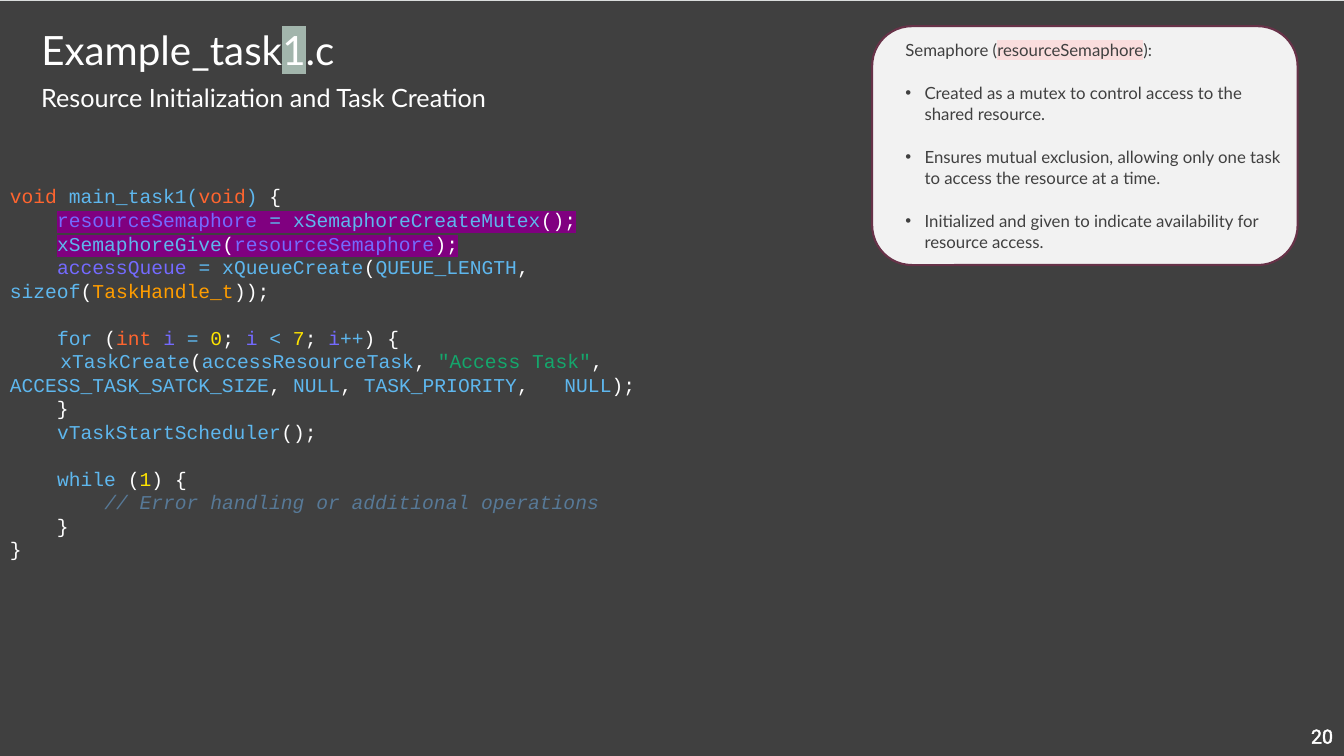
from dataclasses import dataclass
from typing import NamedTuple

from lxml.etree import SubElement
from pptx import Presentation
from pptx.dml.color import RGBColor
from pptx.enum.shapes import MSO_SHAPE
from pptx.enum.text import MSO_ANCHOR, MSO_AUTO_SIZE, PP_ALIGN
from pptx.oxml.ns import qn
from pptx.util import Inches, Pt


@dataclass(frozen=True)
class Theme:
    edge: str = "F1F4F3"
    dark: str = "404040"
    white: str = "FFFFFF"
    card: str = "F2F2F2"
    line: str = "673248"
    sage: str = "A2B5AC"
    pink: str = "FADDDD"
    plum: str = "800080"
    type: str = "FF652F"
    call: str = "5EB7EE"
    name: str = "746AFF"
    kind: str = "FF9D00"
    digit: str = "FFE400"
    quote: str = "14A76C"
    note: str = "577997"
    sans: str = "Lato"
    mono: str = "Courier New"
    round: str = "Roboto"
    head: float = 28.8
    sub: float = 18
    code: float = 14
    body: float = 12
    pitch: float = 16.8


T = Theme()


class Bit(NamedTuple):
    text: str
    color: str = T.white
    mark: str = ""
    slant: bool = False


class Box(NamedTuple):
    left: float
    top: float
    width: float
    height: float


@dataclass
class Row:
    bits: list[Bit]
    gap: bool = False


# Code tokens by colour
def call(text: str, mark: str = "") -> Bit:
    return Bit(text, T.call, mark)


def name(text: str, mark: str = "") -> Bit:
    return Bit(text, T.name, mark)


def kind(text: str) -> Bit:
    return Bit(text, T.type)


def digit(text: str) -> Bit:
    return Bit(text, T.digit)


TAB = Bit("    ")
CODE = [
    Row([kind("void "), call("main_task1("), kind("void"), call(")"), Bit(" {")]),
    Row([TAB, name("resourceSemaphore", T.plum), Bit(" ", mark=T.plum),
         call("=", T.plum), Bit(" ", mark=T.plum),
         call("xSemaphoreCreateMutex", T.plum), Bit("();", mark=T.plum)]),
    Row([TAB, call("xSemaphoreGive", T.plum), Bit("(", mark=T.plum),
         name("resourceSemaphore", T.plum), Bit(");", mark=T.plum)]),
    Row([TAB, name("accessQueue "), call("= xQueueCreate"), Bit("("),
         call("QUEUE_LENGTH"), Bit(", "), call("sizeof"), Bit("("),
         Bit("TaskHandle_t", T.kind), Bit("));")]),
    Row([TAB, call("for"), Bit(" ("), kind("int "), name("i "), call("= "),
         digit("0"), Bit("; "), name("i "), call("< "), digit("7"), Bit("; "),
         name("i"), call("++"), Bit(") {")], gap=True),
    Row([Bit("   \t"), call("xTaskCreate"), Bit("("), call("accessResourceTask"),
         Bit(", "), Bit('"Access Task"', T.quote), Bit(", \t"),
         call("ACCESS_TASK_SATCK_SIZE"), Bit(", "), call("NULL"), Bit(", "),
         call("TASK_PRIORITY"), Bit(", \t"), call("NULL"), Bit(");")]),
    Row([TAB, Bit("}")]),
    Row([TAB, call("vTaskStartScheduler"), Bit("();")]),
    Row([TAB, call("while"), Bit(" ("), digit("1"), Bit(") {")], gap=True),
    Row([TAB, TAB, Bit("// Error handling or additional operations", T.note,
                       slant=True)]),
    Row([TAB, Bit("}")]),
    Row([Bit("}")]),
]
LEAD = [Bit("Semaphore (", T.dark), Bit("resourceSemaphore", T.dark, T.pink),
        Bit("):", T.dark)]
POINTS = [
    "Created as a mutex to control access to the shared resource.",
    "Ensures mutual exclusion, allowing only one task to access the resource at a time.",
    "Initialized and given to indicate availability for resource access.",
]


def place(shape, box: Box) -> None:
    shape.left, shape.top, shape.width, shape.height = map(Inches, box)


def write(para, bits: list[Bit], size: float, font: str) -> None:
    for bit in bits:
        run = para.add_run()
        run.text = bit.text
        run.font.size, run.font.name = Pt(size), font
        run.font.color.rgb = RGBColor.from_string(bit.color)
        if bit.slant:
            run.font.italic = True
        if bit.mark:
            props = run.font._element
            mark = SubElement(props, qn("a:highlight"))
            SubElement(mark, qn("a:srgbClr"), val=bit.mark)
            props.find(qn("a:solidFill")).addnext(mark)


def panel(slide, form: MSO_SHAPE, box: Box, fill: str, line: str = "") -> None:
    shape = slide.shapes.add_shape(form, *map(Inches, box))
    shape.shadow.inherit = False
    shape.fill.solid()
    shape.fill.fore_color.rgb = RGBColor.from_string(fill)
    if line:
        shape.line.color.rgb = RGBColor.from_string(line)
        shape.line.width = Pt(1.5)
    else:
        shape.line.fill.background()


def label(slide, box: Box):
    frame = slide.shapes.add_textbox(*map(Inches, box)).text_frame
    frame.word_wrap = True
    return frame


def bullet(para, shown: bool) -> None:
    props = para._p.get_or_add_pPr()
    inset = Inches(0.19) if shown else 0
    props.set("marL", str(inset))
    props.set("indent", str(-inset))
    if shown:
        SubElement(props, qn("a:buFont"), typeface="Arial")
        SubElement(props, qn("a:buChar"), char="•")
    else:
        SubElement(props, qn("a:buNone"))


def main() -> None:
    deck = Presentation()
    deck.slide_width, deck.slide_height = Inches(13.33), Inches(7.5)
    slide = deck.slides.add_slide(deck.slide_layouts[1])
    title, body = slide.shapes.title, slide.placeholders[1]

    # Backdrop
    back = slide.background.fill
    back.solid()
    back.fore_color.rgb = RGBColor.from_string(T.edge)
    panel(slide, MSO_SHAPE.RECTANGLE, Box(0, 0.01, 13.33, 7.5), T.dark)

    # Page number
    frame = label(slide, Box(12.75, 7.1, 0.57, 0.4))
    frame.vertical_anchor = MSO_ANCHOR.MIDDLE
    para = frame.paragraphs[0]
    para.alignment = PP_ALIGN.RIGHT
    write(para, [Bit("20")], T.code, T.round)
    props = para.runs[0].font._element
    line = SubElement(props, qn("a:ln"), w=str(Pt(0.75)))
    SubElement(SubElement(line, qn("a:solidFill")), qn("a:srgbClr"), val=T.white)
    props.insert(0, line)

    # Code
    frame = label(slide, Box(0, 1.78, 7.59, 3.96))
    for spot, row in enumerate(CODE):
        para = frame.add_paragraph() if spot else frame.paragraphs[0]
        para.line_spacing = Pt(T.pitch)
        if row.gap:
            para.space_before = Pt(T.pitch)
        write(para, row.bits, T.code, T.mono)

    # Title and subtitle
    place(title, Box(0.31, 0.19, 4.16, 0.59))
    slide.shapes._spTree.append(title._element)
    frame = title.text_frame
    frame.auto_size, frame.vertical_anchor = MSO_AUTO_SIZE.NONE, MSO_ANCHOR.BOTTOM
    frame.paragraphs[0].alignment = PP_ALIGN.LEFT
    write(frame.paragraphs[0], [Bit("Example_task"), Bit("1", mark=T.sage), Bit(".c")],
          T.head, T.sans)
    frame = label(slide, Box(0.31, 0.77, 5.82, 0.4))
    write(frame.paragraphs[0], [Bit("Resource Initialization and Task Creation")],
          T.sub, T.sans)

    # Semaphore card
    panel(slide, MSO_SHAPE.ROUNDED_RECTANGLE, Box(8.65, 0.26, 4.22, 2.37), T.card, T.line)
    place(body, Box(8.88, 0.33, 3.99, 2.23))
    slide.shapes._spTree.append(body._element)
    frame = body.text_frame
    frame.auto_size = MSO_AUTO_SIZE.NONE
    for spot, bits in enumerate([LEAD, *([Bit(text, T.dark)] for text in POINTS)]):
        para = frame.add_paragraph() if spot else frame.paragraphs[0]
        bullet(para, spot > 0)
        para.line_spacing, para.space_before, para.space_after = 1.07, Pt(0), Pt(15)
        write(para, bits, T.body, T.sans)

    deck.save("out.pptx")


if __name__ == "__main__":
    main()
